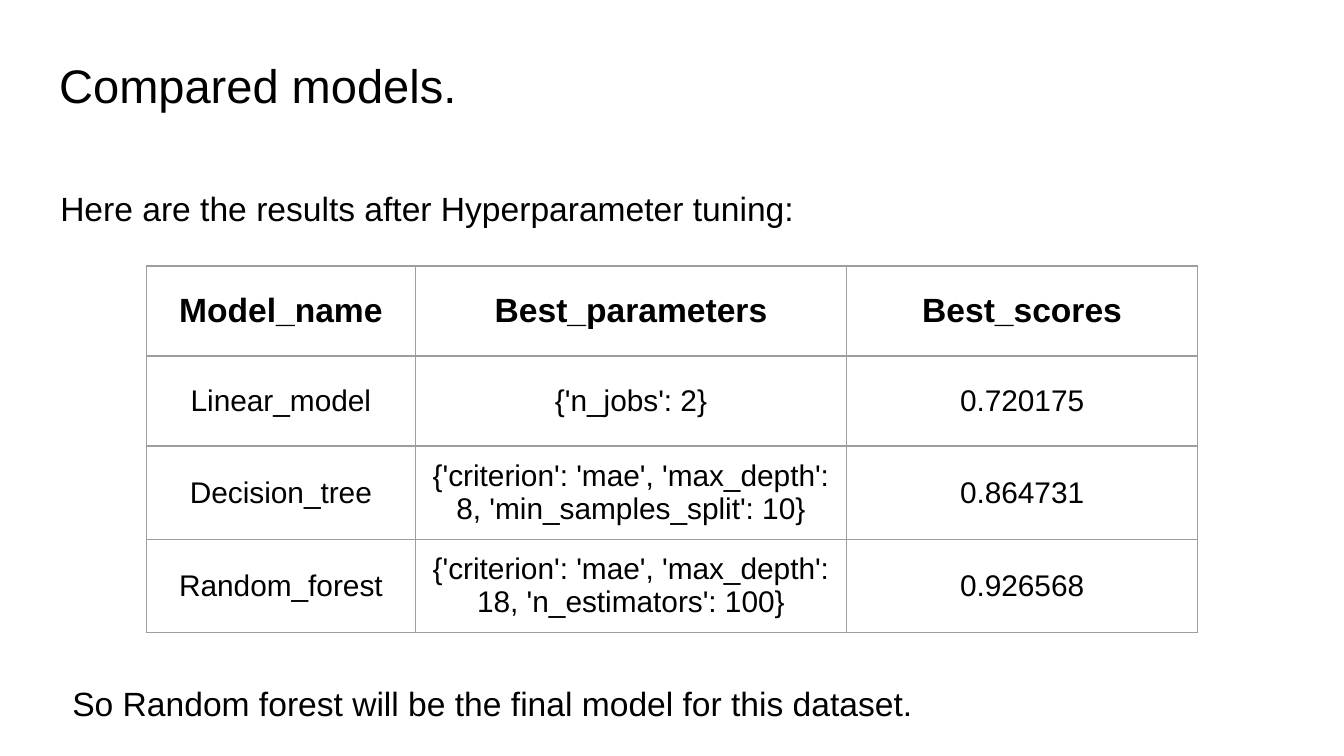
from lxml import etree
from pptx import Presentation
from pptx import util as u
from pptx.dml.color import RGBColor
from pptx.enum import text
from pptx.oxml import ns

COLORS = {"text": "000000", "background": "FFFFFF", "border": "9E9E9E"}
FONT = "Arial"
WIDTH = u.Inches(10)
HEIGHT = WIDTH * 9 // 16
INSET = u.Inches(0.1)

COLUMN_WIDTHS = [2, 3.21, 2.61]
ROW_HEIGHTS = [0.67, 0.67, 0.69, 0.69]
RESULTS = [
    ["Model_name", "Best_parameters", "Best_scores"],
    ["Linear_model", "{'n_jobs': 2}", "0.720175"],
    ["Decision_tree",
     "{'criterion': 'mae', 'max_depth': 8, 'min_samples_split': 10}", "0.864731"],
    ["Random_forest",
     "{'criterion': 'mae', 'max_depth': 18, 'n_estimators': 100}", "0.926568"],
]


def inches(*lengths):
    return [u.Inches(length) for length in lengths]


def set_insets(frame):
    frame.margin_left = frame.margin_right = INSET
    frame.margin_top = frame.margin_bottom = INSET


def add_run(paragraph, words, size, bold=False):
    run = paragraph.add_run()
    run.text = words
    run.font.name = FONT
    run.font.size = u.Pt(size)
    run.font.bold = bold
    run.font.color.rgb = RGBColor.from_string(COLORS["text"])


def fill_frame(frame, words, size):
    set_insets(frame)
    frame.word_wrap = True
    frame.vertical_anchor = text.MSO_ANCHOR.TOP
    paragraph = frame.paragraphs[0]
    paragraph.alignment = text.PP_ALIGN.LEFT
    add_run(paragraph, words, size)


def add_title(slide, box, words):
    title = slide.shapes.title
    title.left, title.top, title.width, title.height = box
    fill_frame(title.text_frame, words, 25.2)
    title.text_frame.auto_size = text.MSO_AUTO_SIZE.NONE


def add_statement(slide, box, words):
    frame = slide.shapes.add_textbox(*box).text_frame
    fill_frame(frame, words, 18)
    frame.auto_size = text.MSO_AUTO_SIZE.SHAPE_TO_FIT_TEXT


def set_borders(cell):
    properties = cell._tc.get_or_add_tcPr()
    for position, side in enumerate(("lnL", "lnR", "lnT", "lnB")):
        line = etree.Element(ns.qn(f"a:{side}"), w=str(u.Pt(0.75)))
        fill = etree.SubElement(line, ns.qn("a:solidFill"))
        etree.SubElement(fill, ns.qn("a:srgbClr"), val=COLORS["border"])
        properties.insert(position, line)


def add_results_table(slide, left, top):
    width, height = inches(sum(COLUMN_WIDTHS), sum(ROW_HEIGHTS))
    table = slide.shapes.add_table(
        len(RESULTS), len(COLUMN_WIDTHS), left, top, width, height).table
    table.horz_banding = False
    for column, column_width in zip(table.columns, inches(*COLUMN_WIDTHS)):
        column.width = column_width
    for row, row_height in zip(table.rows, inches(*ROW_HEIGHTS)):
        row.height = row_height
    for row_index, values in enumerate(RESULTS):
        header = row_index == 0
        for column_index, value in enumerate(values):
            cell = table.cell(row_index, column_index)
            set_insets(cell)
            cell.vertical_anchor = text.MSO_ANCHOR.MIDDLE
            cell.fill.background()
            set_borders(cell)
            paragraph = cell.text_frame.paragraphs[0]
            paragraph.alignment = text.PP_ALIGN.CENTER
            add_run(paragraph, value, 18 if header else 16, bold=header)


def main():
    presentation = Presentation()
    presentation.slide_width, presentation.slide_height = WIDTH, HEIGHT
    slide = presentation.slides.add_slide(presentation.slide_layouts[5])
    background = slide.background.fill
    background.solid()
    background.fore_color.rgb = RGBColor.from_string(COLORS["background"])

    # Title, then the results between two statements
    add_title(slide, inches(0.34, 0.32, 9.32, 0.63), "Compared models.")
    add_results_table(slide, *inches(1.09, 1.98))
    add_statement(slide, inches(0.35, 1.3, 8.95, 0.5),
                  "Here are the results after Hyperparameter tuning:")
    add_statement(slide, inches(0.44, 4.98, 8.34, 0.5),
                  "So Random forest will be the final model for this dataset.")
    presentation.save("out.pptx")


if __name__ == "__main__":
    main()
